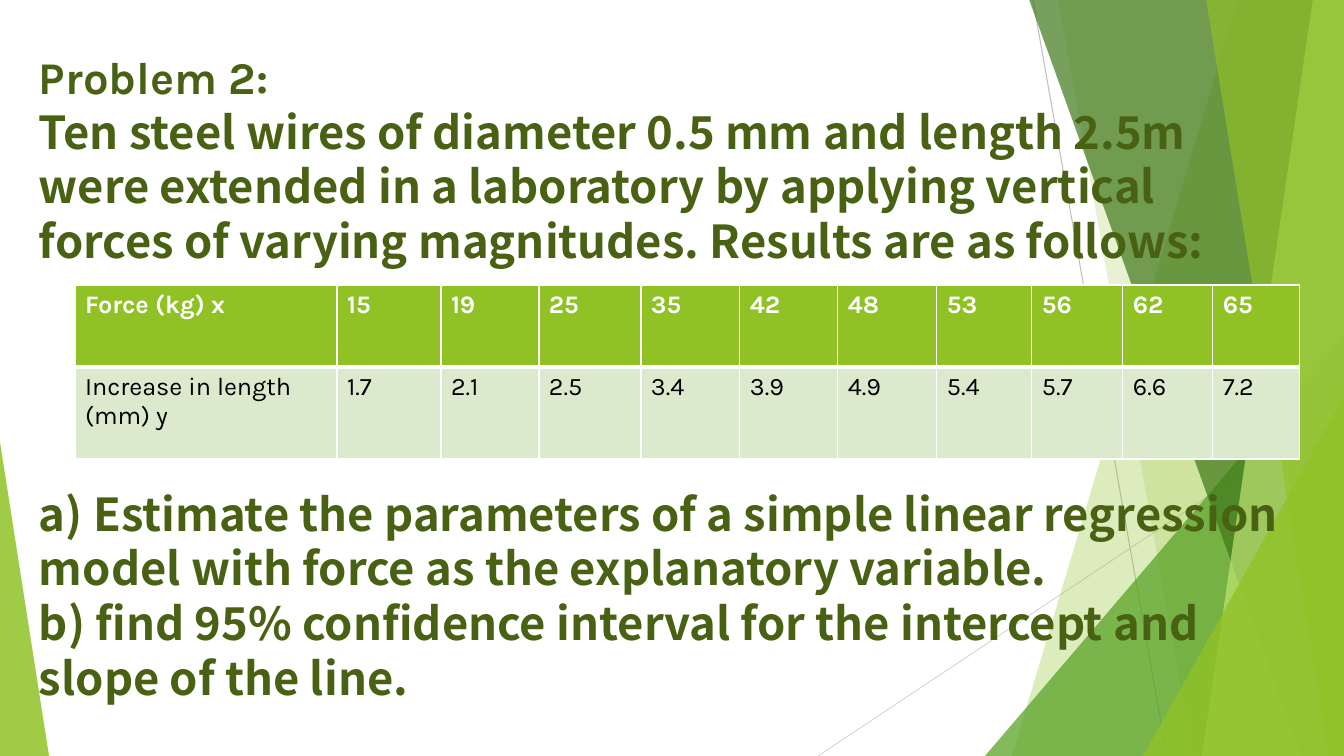
from lxml import etree
from pptx import Presentation, util as u
from pptx.dml.color import RGBColor
from pptx.enum import shapes, text
from pptx.oxml import ns

LIME = RGBColor(0x90, 0xC2, 0x26)
GREEN = RGBColor(0x54, 0xA0, 0x21)
DARK = RGBColor(0x3F, 0x78, 0x19)
PALE = RGBColor(0xC0, 0xE4, 0x74)
OLIVE = RGBColor(0x48, 0x61, 0x13)
MINT = RGBColor(0xDB, 0xE9, 0xCD)
GREY = RGBColor(0xBF, 0xBF, 0xBF)
SILVER = RGBColor(0xD9, 0xD9, 0xD9)
WHITE = RGBColor(0xFF, 0xFF, 0xFF)
BLACK = RGBColor(0, 0, 0)

WIDE, HIGH = 1344, 756
SCALE = 914400 / 100.8


def px(n):
    return u.Emu(round(n * SCALE))


def add(node, tag, **attrs):
    return etree.SubElement(node, ns.qn(tag), attrs)


class Deck:
    head = {"name": "Karla", "size": u.Pt(32.4), "bold": True}
    body = dict(head, name="Noto Sans CJK KR")
    cell = {"name": "Karla", "size": u.Pt(18)}

    def __init__(self):
        self.prs = Presentation()
        self.prs.slide_width, self.prs.slide_height = px(WIDE), px(HIGH)
        self.slide = self.prs.slides.add_slide(self.prs.slide_layouts[6])
        self.items = self.slide.shapes

    def style(self, font, form, color):
        for key, val in form.items():
            setattr(font, key, val)
        font.color.rgb = color

    def line(self, ax, ay, bx, by, color):
        link = self.items.add_connector(
            shapes.MSO_CONNECTOR.STRAIGHT, px(ax), px(ay), px(bx), px(by))
        link.line.color.rgb = color
        link.line.width = u.Pt(0.75)
        add(link._element.spPr, "a:effectLst")

    def paint(self, shape, color, alpha):
        shape.shadow.inherit = False
        shape.fill.solid()
        shape.fill.fore_color.rgb = color
        shape.line.fill.background()
        tone = shape._element.spPr.find(".//" + ns.qn("a:srgbClr"))
        add(tone, "a:alpha", val=str(alpha * 1000))

    def band(self, top, low, color, alpha):
        """Fill from a slanted left edge to the right side of the slide."""
        path = self.items.build_freeform(top, -1, scale=SCALE)
        path.add_line_segments([(WIDE, -1), (WIDE, HIGH), (low, HIGH)])
        self.paint(path.convert_to_shape(), color, alpha)

    def wedge(self, x, y, wide, tip, color, alpha):
        """Triangle that stands on the bottom of the slide."""
        shape = self.items.add_shape(
            shapes.MSO_SHAPE.ISOSCELES_TRIANGLE,
            px(x), px(y), px(wide), px(HIGH - y))
        shape.adjustments[0] = tip
        self.paint(shape, color, alpha)

    def prose(self, x, y, wide, high, paras):
        frame = self.items.add_textbox(px(x), px(y), px(wide), px(high)).text_frame
        frame.word_wrap = True
        frame.margin_top = frame.margin_bottom = 0
        frame.vertical_anchor = text.MSO_ANCHOR.TOP
        for i, (words, form, gap) in enumerate(paras):
            para = frame.add_paragraph() if i else frame.paragraphs[0]
            para.line_spacing = u.Pt(39)
            para.space_before = u.Pt(gap)
            run = para.add_run()
            run.text = words
            self.style(run.font, form, OLIVE)

    def edges(self, cell, widths):
        props = cell._tc.get_or_add_tcPr()
        for i, (side, wide) in enumerate(zip("LRTB", widths)):
            edge = etree.Element(ns.qn("a:ln" + side), w=str(u.Pt(wide)))
            add(add(edge, "a:solidFill"), "a:srgbClr", val=str(WHITE))
            props.insert(i, edge)

    def table(self, x, y, cols, rows, data, looks):
        grid = self.items.add_table(
            len(rows), len(cols), px(x), px(y), px(sum(cols)), px(sum(rows))).table
        for col, wide in zip(grid.columns, cols):
            col.width = px(wide)
        for row, high, words, look in zip(grid.rows, rows, data, looks):
            row.height = px(high)
            fill, ink, bold, widths = look
            for cell, word in zip(row.cells, words):
                cell.fill.solid()
                cell.fill.fore_color.rgb = fill
                run = cell.text_frame.paragraphs[0].add_run()
                run.text = word
                self.style(run.font, dict(self.cell, bold=bold), ink)
                self.edges(cell, widths)


def main():
    deck = Deck()

    # Background facets, back to front
    deck.line(1033, 0, 1167, HIGH, GREY)
    deck.line(WIDE, 406, 818, HIGH, SILVER)
    for draw, *args in [
        (deck.band, 1238, 1012, LIME, 30),
        (deck.band, 1058, 1193, LIME, 20),
        (deck.wedge, 985, 336, 359, 1, GREEN, 72),
        (deck.band, 1029, 1301, DARK, 70),
        (deck.band, 1313, 1202, PALE, 70),
        (deck.band, 1206, 1329, LIME, 65),
        (deck.wedge, 1143, 396, 201, 1, LIME, 80),
        (deck.wedge, 0, 442, 49, 0, LIME, 85),
    ]:
        draw(*args)

    # Problem and questions, with room left for the table
    deck.prose(29, 49, 1271, 660, [
        ("Problem 2:", deck.head, 0),
        ("Ten steel wires of diameter 0.5 mm and length 2.5m were extended in "
         "a laboratory by applying vertical forces of varying magnitudes. "
         "Results are as follows:", deck.body, 0),
        ("a) Estimate the parameters of a simple linear regression model with "
         "force as the explanatory variable.", deck.body, 4 * 39),
        ("b) find 95% confidence interval for the intercept and slope of the "
         "line.", deck.body, 0),
    ])

    # Measurements
    force = "15 19 25 35 42 48 53 56 62 65".split()
    growth = "1.7 2.1 2.5 3.4 3.9 4.9 5.4 5.7 6.6 7.2".split()
    deck.table(
        75, 285, [262, 104, 98, 102, 99, 98, 99, 95, 91, 90, 87], [82, 92],
        [["Force (kg) x", *force], ["Increase in length (mm) y", *growth]],
        [(LIME, WHITE, True, (1, 1, 1, 3)), (MINT, BLACK, False, (1, 1, 3, 1))])

    deck.prs.save("out.pptx")


if __name__ == "__main__":
    main()
